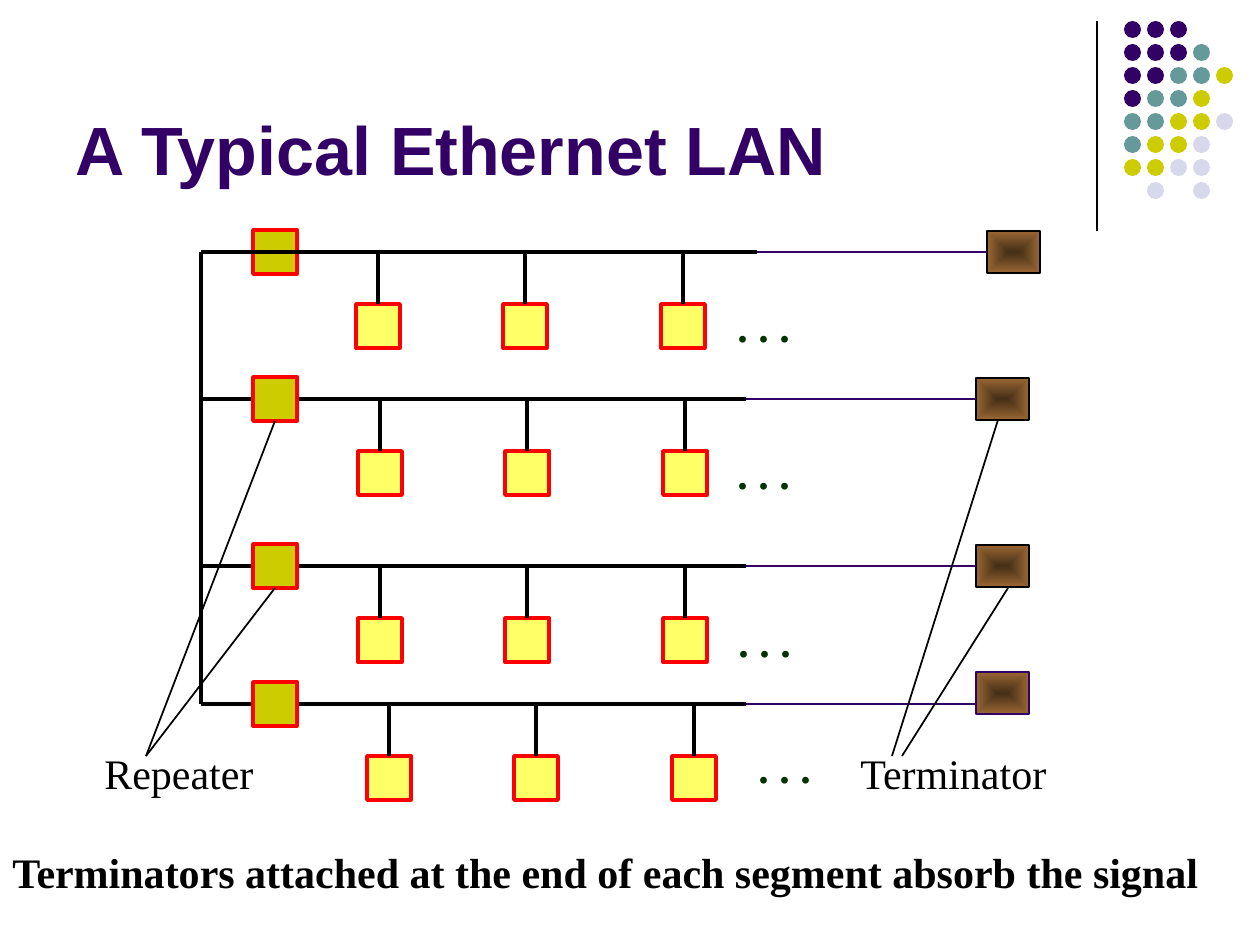
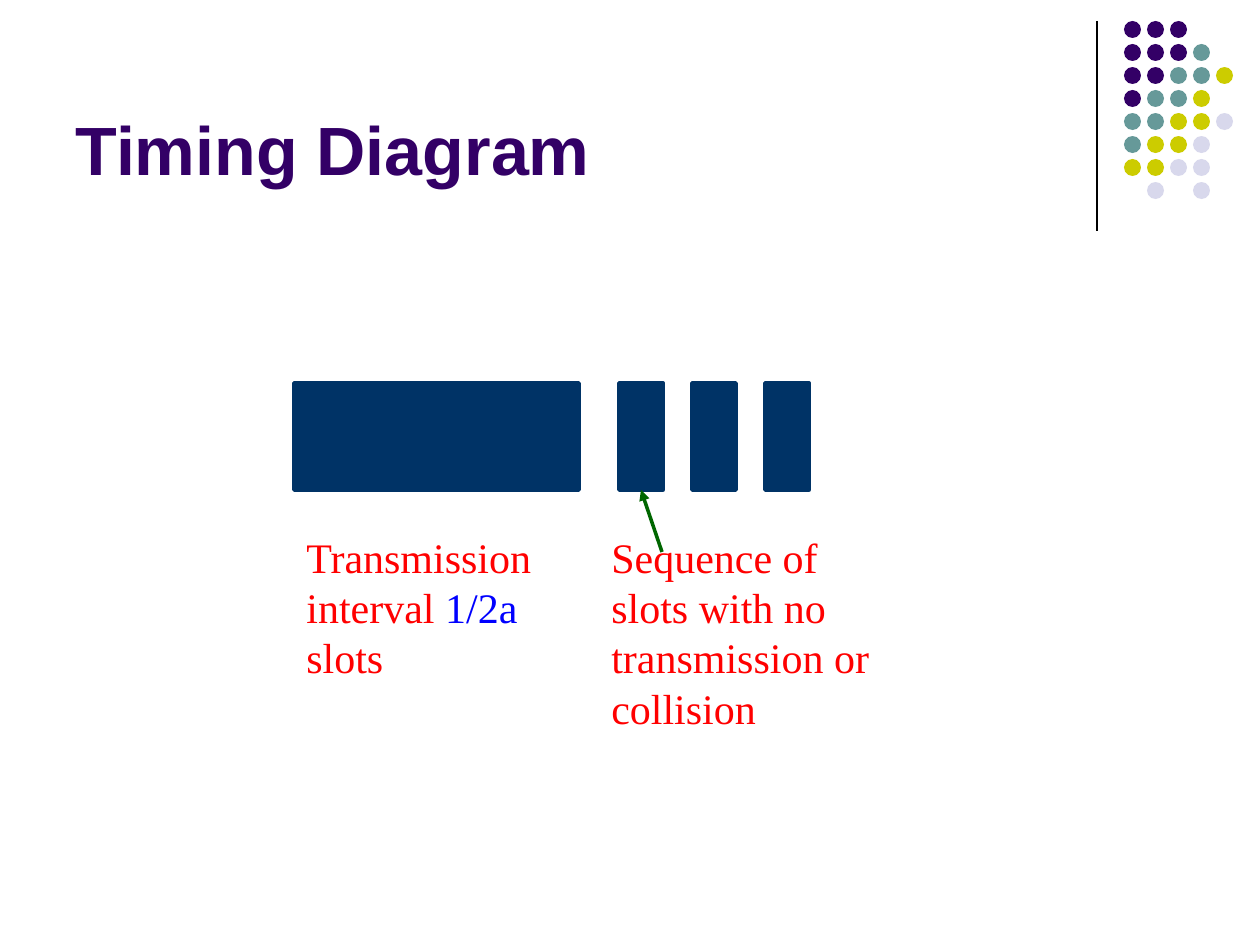
from lxml import etree
from pptx import Presentation
from pptx.dml.color import RGBColor
from pptx.enum.shapes import MSO_CONNECTOR, MSO_SHAPE
from pptx.enum.text import MSO_ANCHOR, MSO_AUTO_SIZE, PP_ALIGN
from pptx.oxml.ns import qn
from pptx.util import Emu, Pt

RECT, OVAL = MSO_SHAPE.RECTANGLE, MSO_SHAPE.OVAL
LINE = MSO_CONNECTOR.STRAIGHT
BOTTOM, LEFT = MSO_ANCHOR.BOTTOM, PP_ALIGN.LEFT
GROW = MSO_AUTO_SIZE.SHAPE_TO_FIT_TEXT
SCALE = 914400 / 126
TITLE_ONLY = 5

BLACK, RED, BLUE = "000000", "FF0000", "0000FF"
PURPLE, TEAL, OLIVE, PALE = "330066", "669999", "CCCC00", "D8D8EC"
YELLOW, NAVY, GREEN, MOSS = "FFFF66", "003366", "006600", "003300"
CORE, RIM = "462F17", "996633"

HEAD = {"name": "Arial", "size": Pt(39), "bold": True}
BODY = {"name": "Times New Roman", "size": Pt(24), "bold": False}
STRONG = {**BODY, "bold": True}
DOTS = ("PPP", "PPPT", "PPTTO", "PTTO", "TTOOL", "TOOL", "OOLL", " L L")
TINTS = {"P": PURPLE, "T": TEAL, "O": OLIVE, "L": PALE}
NODE = 44
TERM = (53, 42)


def px(value):
    """Turn px into EMU."""
    return Emu(round(value * SCALE))


def rgb(code):
    """Turn a hex string into a colour."""
    return RGBColor.from_string(code)


def style(font, form, color):
    """Apply format values and a colour to a font."""
    for key, value in form.items():
        setattr(font, key, value)
    font.color.rgb = rgb(color)


def block(shapes, box, fill, edge=None, width=2, kind=RECT):
    """Add a filled shape with an optional outline."""
    shape = shapes.add_shape(kind, *map(px, box))
    shape.shadow.inherit = False
    shape.fill.solid()
    shape.fill.fore_color.rgb = rgb(fill)
    if edge:
        shape.line.color.rgb = rgb(edge)
        shape.line.width = Pt(width)
    else:
        shape.line.fill.background()
    return shape


def wire(shapes, start, end, color=BLACK, width=2):
    """Add a straight line without a shadow."""
    line = shapes.add_connector(LINE, *map(px, (*start, *end)))
    line.line.color.rgb = rgb(color)
    line.line.width = Pt(width)
    etree.SubElement(line.element.spPr, qn("a:effectLst"))
    return line


def label(shapes, box, runs, form=BODY, wrap=True):
    """Add a text box of coloured runs."""
    frame = shapes.add_textbox(*map(px, box)).text_frame
    frame.word_wrap = wrap
    frame.auto_size = GROW
    for text, color in runs:
        run = frame.paragraphs[0].add_run()
        run.text = text
        style(run.font, form, color)


def corner(slide, layout, box):
    """Put the rule and the dot grid on the shared layout."""
    x, y, height = box
    rule = wire(slide.shapes, (x, y), (x, y + height), BLACK, 0.75)
    group = slide.shapes.add_group_shape()
    for row, marks in enumerate(DOTS):
        for col, mark in enumerate(marks):
            if mark in TINTS:
                spot = (x + 27 + 23 * col, y + 23 * row, 17, 17)
                block(group.shapes, spot, TINTS[mark], kind=OVAL)
    for part in (rule, group):
        layout.shapes.element.append(part.element)


def heading(slide, text):
    """Place and format the slide title."""
    title = slide.shapes.title
    spot = dict(zip(("left", "top", "width", "height"), map(px, (63, 16, 1040, 179))))
    for key, value in spot.items():
        setattr(title, key, value)
    frame = title.text_frame
    frame.text = text
    frame.vertical_anchor = BOTTOM
    frame.auto_size = MSO_AUTO_SIZE.NONE
    frame.paragraphs[0].alignment = LEFT
    style(frame.paragraphs[0].runs[0].font, HEAD, PURPLE)


def plug(shapes, spot, edge):
    """Add a terminator with a gradient from its centre."""
    shape = block(shapes, (*spot, *TERM), RIM, edge, 1)
    shape.fill.gradient()
    for stop, color in zip(shape.fill.gradient_stops, (CORE, RIM)):
        stop.color.rgb = rgb(color)
    grad = shape.element.spPr.find(qn("a:gradFill"))
    grad.remove(grad.find(qn("a:lin")))
    shade = etree.SubElement(grad, qn("a:path"), path="rect")
    inset = dict.fromkeys("ltrb", "50000")
    etree.SubElement(shade, qn("a:fillToRect"), inset)
    return shape


def segment(shapes, box, tap, dots, lift=0, edge=BLACK):
    """Draw one bus with its repeater, nodes and terminator."""
    x, y, width = box
    end = x + width
    half = NODE // 2
    bus = wire(shapes, (x, y), (end, y))
    hub = block(shapes, (x + 52, y - half, NODE, NODE), OLIVE, RED)
    for step in (0, 147, 305):
        top = (x + tap + step, y + 52)
        node = block(shapes, (top[0] - half, top[1], NODE, NODE), YELLOW, RED)
        drop = wire(shapes, (top[0], y), top)
        drop.end_connect(node, 0)
    label(shapes, (x + dots[0], y + dots[1], 199, 63), [(". . .", MOSS)], STRONG)
    term = plug(shapes, (end + 230, y - 21 - lift), edge)
    lead = wire(shapes, (end, y), (end + 230, y), PURPLE, 1)
    if not lift:
        lead.end_connect(term, 1)
    return bus, hub


def network(slide, box):
    """Draw the four segments, their trunk and the labels."""
    x, y = box
    shapes = slide.shapes
    rows = (
        (0, 556, 177, (524, 42)),
        (147, 545, 179, (524, 42)),
        (314, 545, 179, (525, 43)),
        (452, 545, 188, (545, 31), 11, PURPLE),
    )
    lines = [segment(shapes, (x, y + down, width), *rest) for down, width, *rest in rows]
    bus, hub = lines[0]
    bus.element.addprevious(hub.element)
    wire(shapes, (x, y), (x, y + rows[-1][0]))
    foot = y + 504
    for left, width, text in ((-109, 174, "Repeater"), (647, 214, "Terminator")):
        label(shapes, (x + left, foot - 15, width, 63), [(text, BLACK)], wrap=False)
    for _, hub in lines[1:3]:
        ray = wire(shapes, (x + 74, y), (x - 55, foot), BLACK, 1)
        ray.begin_connect(hub, 2)
    for start, top, end in ((797, 168, 691), (807, 336, 701)):
        wire(shapes, (x + start, y + top), (x + end, foot), BLACK, 1)


def timing(slide, box):
    """Draw the interval bar, the slots and their captions."""
    x, y, height = box
    shapes = slide.shapes
    block(shapes, (x, y, 285, height), NAVY, NAVY)
    slots = [
        block(shapes, (x + 325 + 73 * i, y, NODE, height), NAVY, NAVY)
        for i in range(3)
    ]
    span = [("Transmission interval ", RED), ("1/2a", BLUE), (" slots", RED)]
    idle = [("Sequence of slots with no transmission or collision", RED)]
    label(shapes, (x, y + 142, 305, 164), span)
    label(shapes, (x + 305, y + 142, 305, 214), idle)
    arrow = wire(shapes, (x + 368, y + 169), (x + 347, y + height), GREEN)
    arrow.end_connect(slots[0], 2)
    ln = arrow.element.spPr.find(qn("a:ln"))
    etree.SubElement(ln, qn("a:tailEnd"), type="triangle")


def main():
    """Build and save both slides."""
    deck = Presentation()
    deck.slide_width, deck.slide_height = px(1260), px(945)
    layout = deck.slide_layouts[TITLE_ONLY]
    lan, chart = (deck.slides.add_slide(layout) for _ in range(2))
    corner(lan, layout, (1097, 21, 210))
    heading(lan, "A Typical Ethernet LAN")
    network(lan, (201, 252))
    note = "Terminators attached at the end of each segment absorb the signal"
    label(lan.shapes, (0, 840, 1215, 63), [(note, BLACK)], STRONG, False)
    heading(chart, "Timing Diagram")
    timing(chart, (294, 383, 107))
    deck.save("out.pptx")


if __name__ == "__main__":
    main()
